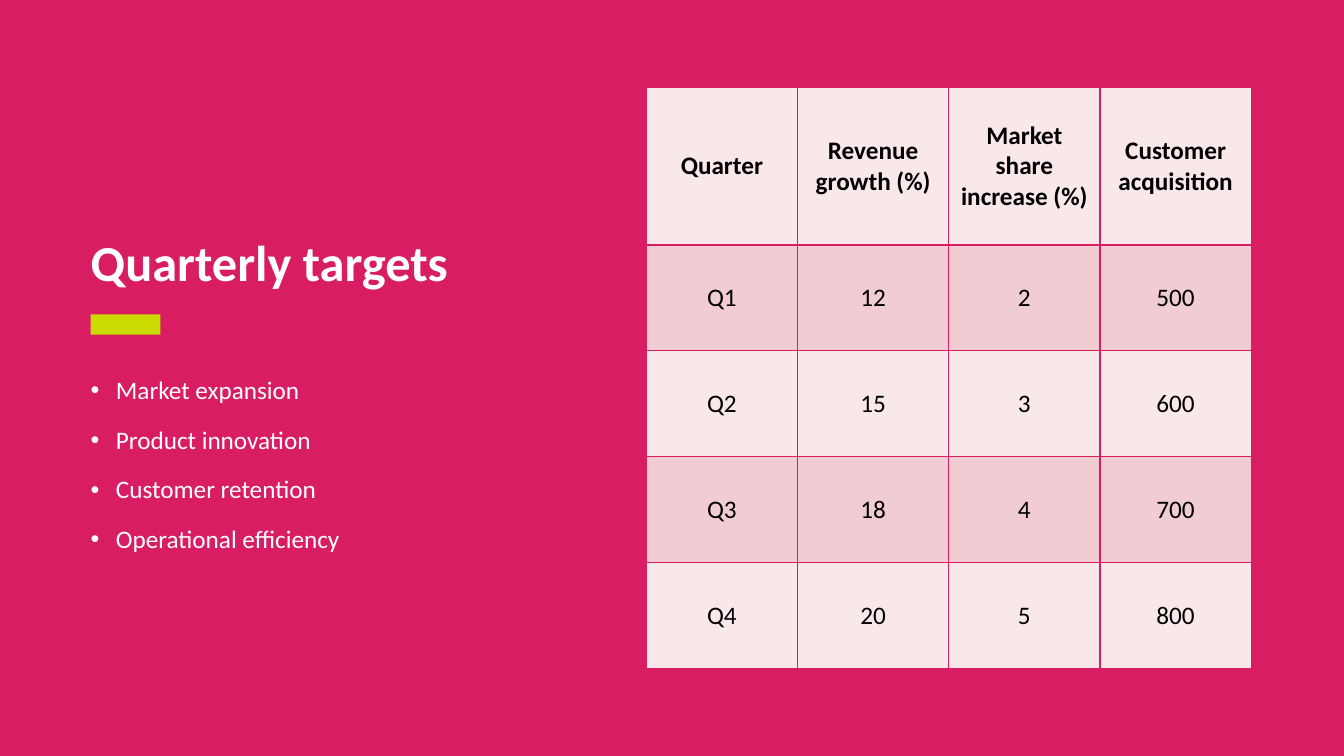
from lxml import etree
from pptx import Presentation, util as u
from pptx.dml.color import RGBColor
from pptx.enum import shapes, text
from pptx.oxml import ns

PINK, LIME, WHITE, BLACK = "D91D62", "CBDA00", "FFFFFF", "000000"
PALE, ROSE = "F8E8EA", "F1CDD3"
LEFT, WIDE = u.Inches(0.9), u.Inches(5)
ITEMS = ["Market expansion", "Product innovation", "Customer retention", "Operational efficiency"]
ROWS = [
    ["Quarter", "Revenue growth (%)", "Market share increase (%)", "Customer acquisition"],
    ["Q1", "12", "2", "500"],
    ["Q2", "15", "3", "600"],
    ["Q3", "18", "4", "700"],
    ["Q4", "20", "5", "800"],
]


def paint(fill, shade):
    fill.solid()
    fill.fore_color.rgb = RGBColor.from_string(shade)


def style(para, size, shade, bold=False):
    """Format every run of a paragraph."""
    for run in para.runs:
        run.font.name, run.font.size, run.font.bold = "Calibri", u.Pt(size), bold
        paint(run.font.fill, shade)


deck = Presentation()
deck.slide_width, deck.slide_height = u.Inches(13.33), u.Inches(7.5)
slide = deck.slides.add_slide(deck.slide_layouts[6])
paint(slide.background.fill, PINK)

# Accent bar
bar = slide.shapes.add_shape(shapes.MSO_SHAPE.RECTANGLE, LEFT, u.Inches(3.12), u.Inches(0.69), u.Inches(0.2))
bar.shadow.inherit = False
paint(bar.fill, LIME)
bar.line.fill.background()

# Title above the bar, list below it
title = slide.shapes.add_textbox(LEFT, u.Inches(0.6), WIDE, u.Inches(2.3)).text_frame
points = slide.shapes.add_textbox(LEFT, u.Inches(3.75), WIDE, u.Inches(3)).text_frame
for frame, words in (title, "Quarterly targets"), (points, "\n".join(ITEMS)):
    frame.word_wrap = True
    frame.margin_left = frame.margin_right = frame.margin_top = frame.margin_bottom = 0
    frame.text = words
    for para in frame.paragraphs:
        para.line_spacing = 0.9
title.vertical_anchor = text.MSO_ANCHOR.BOTTOM
style(title.paragraphs[0], 36, WHITE, True)
for para in points.paragraphs:
    para.space_before = u.Pt(16)
    style(para, 18, WHITE)
    props = para._p.get_or_add_pPr()
    props.set("marL", str(u.Inches(0.25)))
    props.set("indent", str(-u.Inches(0.25)))
    etree.SubElement(props, ns.qn("a:buFont"), typeface="Arial")
    etree.SubElement(props, ns.qn("a:buChar"), char="•")

# Table of targets
table = slide.shapes.add_table(
    len(ROWS), len(ROWS[0]), u.Inches(6.41), u.Inches(0.87), u.Inches(6), u.Inches(5.76)).table
for col in table.columns:
    col.width = u.Inches(1.5)
for r, row in enumerate(ROWS):
    table.rows[r].height = u.Inches(1.05 if r else 1.56)
    for c, words in enumerate(row):
        cell = table.cell(r, c)
        cell.text = words
        cell.vertical_anchor = text.MSO_ANCHOR.MIDDLE
        para = cell.text_frame.paragraphs[0]
        para.alignment = text.PP_ALIGN.CENTER
        style(para, 18, BLACK, r == 0)
        props = cell._tc.get_or_add_tcPr()
        for side in "LRTB":
            edge = etree.SubElement(props, ns.qn(f"a:ln{side}"), w=str(u.Pt(1)))
            ink = etree.SubElement(edge, ns.qn("a:solidFill"))
            etree.SubElement(ink, ns.qn("a:srgbClr"), val=PINK)
        paint(cell.fill, ROSE if r % 2 else PALE)

deck.save("out.pptx")
